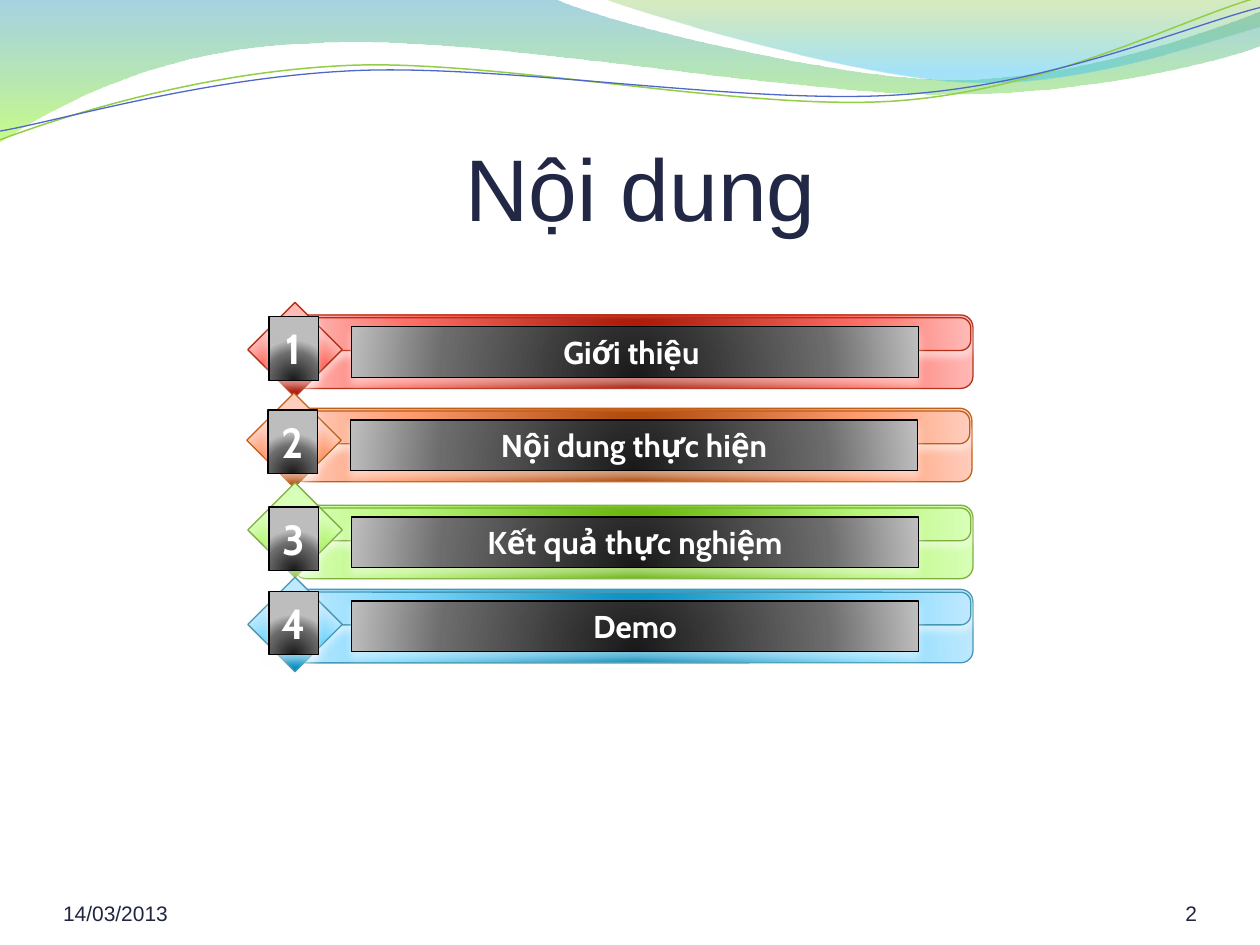
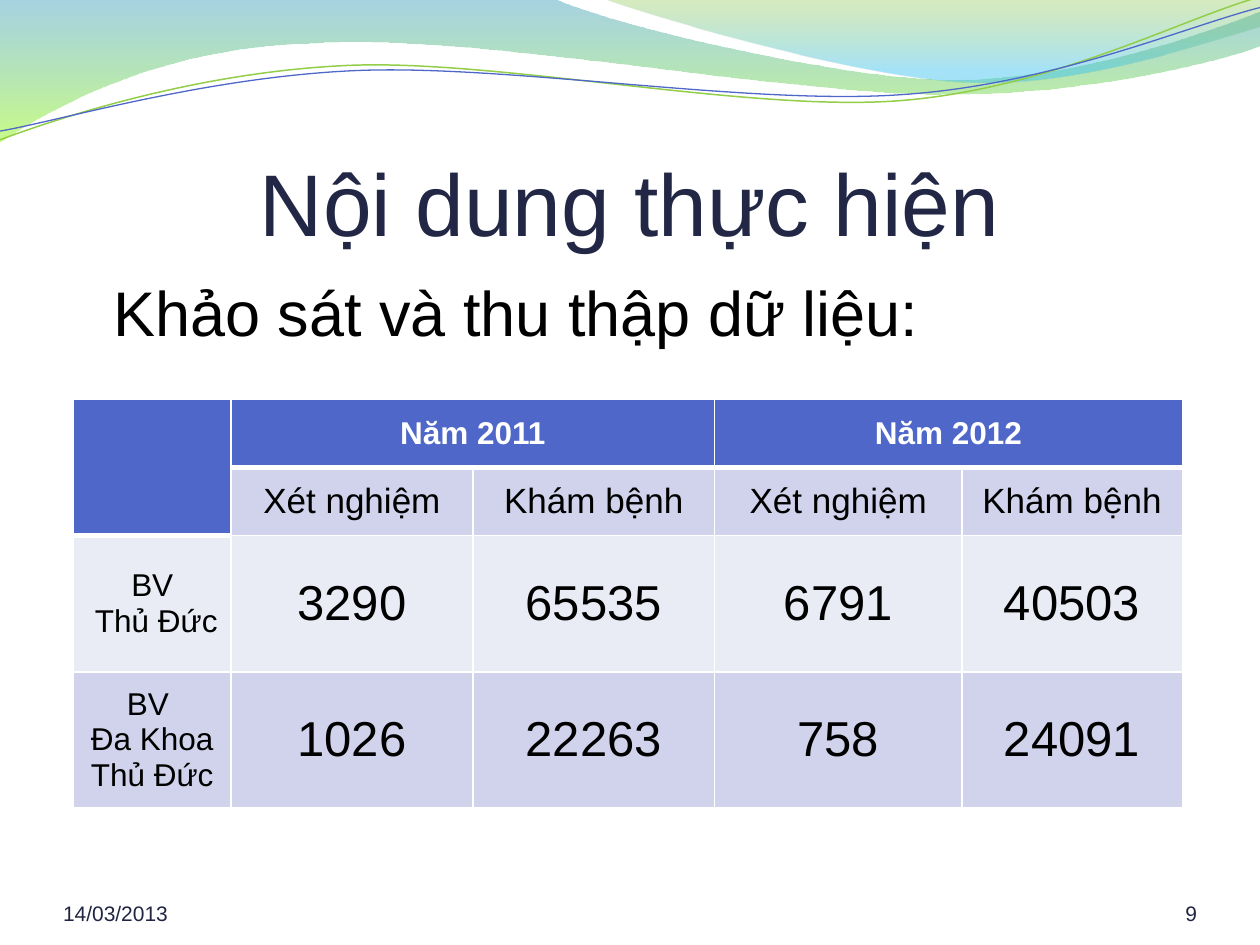
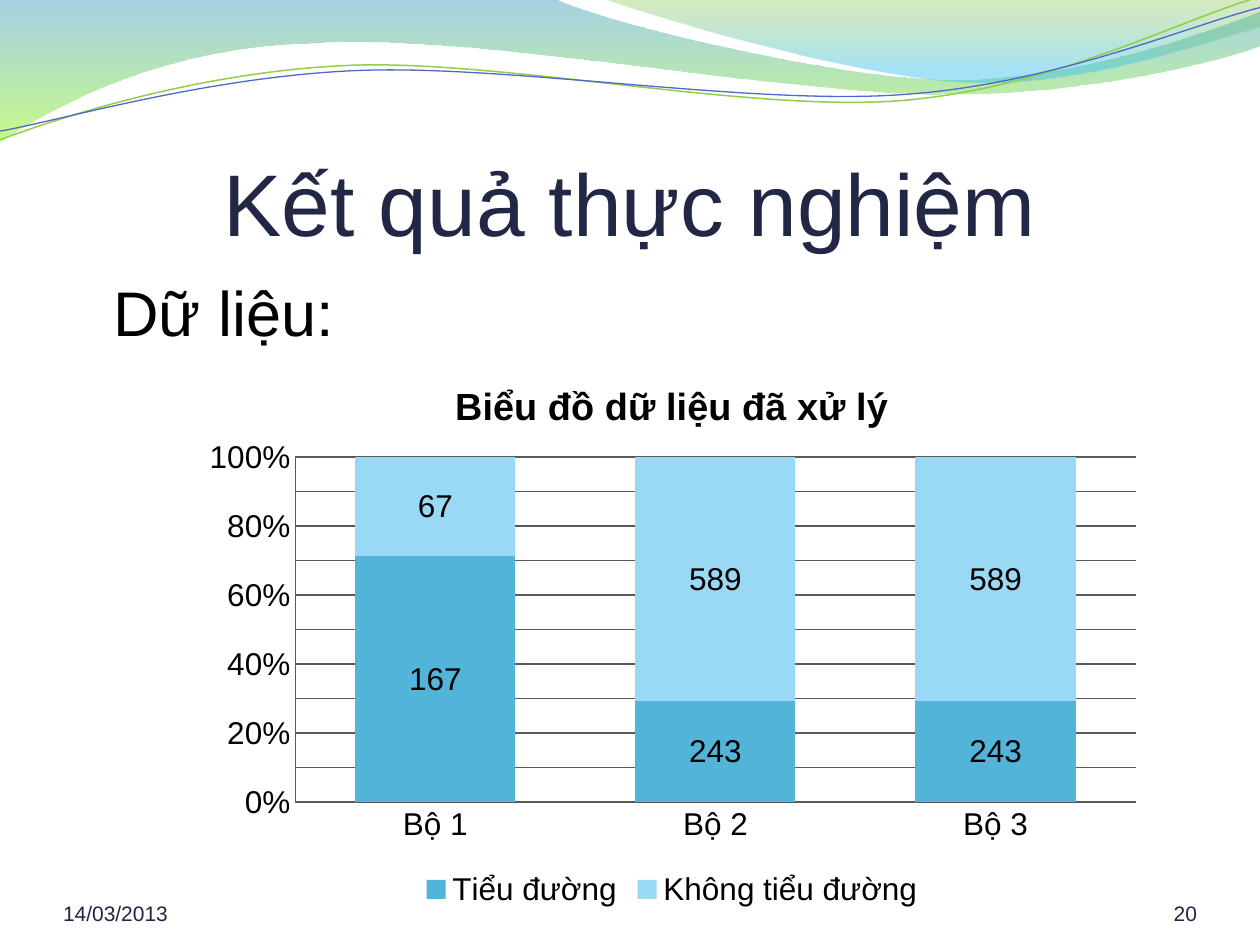
from pptx import Presentation
from pptx.chart.data import CategoryChartData
from pptx.dml.color import RGBColor
from pptx.enum.chart import XL_CHART_TYPE, XL_LEGEND_POSITION, XL_TICK_MARK
from pptx.enum.shapes import MSO_SHAPE
from pptx.enum.text import MSO_ANCHOR, MSO_AUTO_SIZE, PP_ALIGN
from pptx.oxml import parse_xml
from pptx.oxml.ns import nsdecls, qn
from pptx.util import Pt

LEFT, MID, RIGHT = PP_ALIGN.LEFT, PP_ALIGN.CENTER, PP_ALIGN.RIGHT
TOP, CENTER, BOTTOM = MSO_ANCHOR.TOP, MSO_ANCHOR.MIDDLE, MSO_ANCHOR.BOTTOM
FIT, FIXED = MSO_AUTO_SIZE.SHAPE_TO_FIT_TEXT, MSO_AUTO_SIZE.NONE
RECT, ROUND, DIAMOND = MSO_SHAPE.RECTANGLE, MSO_SHAPE.ROUNDED_RECTANGLE, MSO_SHAPE.DIAMOND
STACK = XL_CHART_TYPE.COLUMN_STACKED_100
UNDER, NO_TICK = XL_LEGEND_POSITION.BOTTOM, XL_TICK_MARK.NONE

COLORS = {
    "title": "212745", "foot": "202542", "black": "000000", "white": "FFFFFF",
    "blue": "4E67C8", "green": "93CE48", "band": "D0D3EB", "pale": "E9EBF5",
    "deep": "52B4D9", "sky": "9AD9F6", "grid": "595959",
}
# Glossy themes: gradient from the centre outwards, outline
GLOSS = {
    "red": (("A31200", "FD7066", "FFBAB7"), "B52E18"),
    "orange": (("A94200", "FF9B6F", "FFCDBD"), "BF5E16"),
    "lime": (("61B200", "B7F577", "D8FFB8"), "7CAF3B"),
    "aqua": (("008ABC", "7DD8FD", "BFE9FF"), "4498B5"),
    "gray": (("191919", "6C6C6C", "BDBDBD"), "000000"),
}
# Waves: start point, then corners (x, y) or curves (two handles and an end)
WAVES = [
    ((0, 0), [(316.8, -0.7),
              (342.7, 12.2, 478.1, 45.4, 545.8, 45.4),
              (614.2, 45.4, 689.8, 18.7, 720, 6.5), (720.7, 25.9),
              (707.8, 31.7, 626.4, 54.7, 537.1, 54),
              (447.8, 54, 275, 20.2, 185, 24.5),
              (92.9, 25.9, 33.1, 59.8, -0.7, 81.4)],
     [(0, "3B9CBF", 45), (100, "9CFA24", 55)]),
    ((344.9, -0.7), [(366.5, 7.9, 491, 44.6, 553.7, 46.8),
                     (616.3, 49.7, 691.9, 23, 720, 15.1), (720, 0)],
     [(0, "7EBE2C", 30), (80, "39C1F1", 45)]),
]
CURVES = [
    ((0, 79.9), [(34.6, 67, 113.8, 41, 199.4, 37.4),
                 (284.4, 33.8, 427, 64.1, 513.4, 57.6),
                 (599.8, 51.1, 675.4, 10.8, 718.6, -1.4)], "green", 0.85),
    ((0, 74.9), [(33.8, 69.1, 118.1, 43.9, 203.8, 40.3),
                 (290.2, 36.7, 429.8, 60.5, 516.2, 54),
                 (601.9, 48.2, 677.5, 15.1, 720, 4.3)], "blue", 0.75),
]
# Agenda: text, theme, left, top of the diamond, top of the bar
ITEMS = [
    ("Giới thiệu ", "red", 141.6, 172.8, 180),
    ("Nội dung thực hiện", "orange", 141, 224.6, 233.3),
    ("Kết quả thực nghiệm", "lime", 141.6, 275.8, 288.7),
    ("Demo", "aqua", 141.6, 329.8, 336.8),
]
TITLE_BOX, BODY_BOX = (36, 55.4, 648, 90), (36, 152.6, 648, 345.6)


def rgb(name):
    return RGBColor.from_string(COLORS[name])


def pts(*box):
    return [Pt(v) for v in box]


def write(frame, text, size=18, color="black", font="Arial", bold=False,
          align=LEFT, anchor=TOP, inset=None):
    """Fill a text frame or cell, one paragraph per line."""
    frame.text = text
    frame.vertical_anchor = anchor
    if inset:
        (frame.margin_left, frame.margin_top,
         frame.margin_right, frame.margin_bottom) = pts(*inset)
    paras = getattr(frame, "text_frame", frame).paragraphs
    for para in paras:
        para.alignment = align
        for run in para.runs:
            style(run.font, size, color, bold, font)


def style(font, size, color="black", bold=False, name="Arial"):
    font.name, font.size, font.bold = name, Pt(size), bold
    font.color.rgb = rgb(color)


def shade(shape, stops, tail):
    """Give a shape a gradient of (position, hex, opacity) stops."""
    shape.fill.background()
    marks = "".join(
        f'<a:gs pos="{pos * 1000}"><a:srgbClr val="{tint}">'
        f'<a:alpha val="{alpha * 1000}"/></a:srgbClr></a:gs>'
        for pos, tint, alpha in stops)
    grad = parse_xml(f'<a:gradFill {nsdecls("a")} rotWithShape="1">'
                     f'<a:gsLst>{marks}</a:gsLst>{tail}</a:gradFill>')
    props = shape.element.spPr
    props.replace(props.find(qn("a:noFill")), grad)


def gloss(slide, kind, box, theme, round_by=None):
    """Add a shape with a radial gradient, an outline and a soft light shadow."""
    tints, edge = GLOSS[theme]
    shape = slide.shapes.add_shape(kind, *pts(*box))
    if round_by:
        shape.adjustments[0] = round_by
    shade(shape, [(pos, tint, 100) for pos, tint in zip((0, 68, 100), tints)],
          '<a:path path="circle"><a:fillToRect l="50000" t="130000" '
          'r="50000" b="-30000"/></a:path>')
    shape.line.color.rgb = RGBColor.from_string(edge)
    shape.line.width = Pt(0.75)
    shape.shadow.inherit = False
    shape.element.spPr.find(qn("a:effectLst")).append(parse_xml(
        f'<a:outerShdw {nsdecls("a")} blurRad="{Pt(4.5)}" dist="{Pt(3)}" '
        f'dir="5400000" rotWithShape="0"><a:srgbClr val="{COLORS["white"]}">'
        '<a:alpha val="48000"/></a:srgbClr></a:outerShdw>'))
    return shape


def outline(slide, start, steps, close):
    """Build a freeform, in hundredths of a point, with true curves."""
    points = [(round(x * 100), round(y * 100))
              for step in [start, *steps] for x, y in zip(step[::2], step[1::2])]
    pen = slide.shapes.build_freeform(*points[0], scale=Pt(1) / 100)
    pen.add_line_segments(points[1:], close=close)
    shape = pen.convert_to_shape()
    shape.shadow.inherit = False
    # Join each curve's two handles and end into one segment
    lines = iter(list(shape.element.spPr.iter(qn("a:lnTo"))))
    for step in steps:
        parts = [next(lines) for _ in step[::2]]
        if len(parts) == 3:
            bend = parse_xml(f'<a:cubicBezTo {nsdecls("a")}/>')
            parts[0].addprevious(bend)
            for part in parts:
                bend.append(part[0])
                part.getparent().remove(part)
    return shape


def header(deck, slide):
    """Draw the waves and hand them to the master."""
    shapes = []
    for start, steps, stops in WAVES:
        wave = outline(slide, start, steps, True)
        shade(wave, stops, '<a:lin ang="5400000" scaled="0"/>')
        wave.line.fill.background()
        shapes.append(wave)
    for start, steps, color, width in CURVES:
        curve = outline(slide, start, steps, False)
        curve.fill.background()
        curve.line.color.rgb, curve.line.width = rgb(color), Pt(width)
        shapes.append(curve)
    tree = deck.slide_master.shapes.element
    for place, shape in enumerate(shapes, 2):
        tree.insert(place, shape.element)


def move(shape, box):
    shape.left, shape.top, shape.width, shape.height = pts(*box)


def page(deck, layout, title, number, box=TITLE_BOX, anchor=BOTTOM):
    """Add a slide with its title, date and number."""
    slide = deck.slides.add_slide(deck.slide_layouts[layout])
    head = slide.shapes.title
    move(head, box)
    write(head.text_frame, title, size=50, color="title", align=MID,
          anchor=anchor, inset=(0, 3.6, 0, 0))
    head.text_frame.auto_size = FIXED
    for text, left, width, align in (("14/03/2013", 36, 168, LEFT),
                                     (number, 624, 60, RIGHT)):
        foot = slide.shapes.add_textbox(*pts(left, 500.4, width, 28.8)).text_frame
        foot.word_wrap = True
        write(foot, text, size=12, color="foot", align=align,
              anchor=BOTTOM, inset=(0, 0, 0, 0))
    return slide


def lead(slide, text):
    """Write the opening line into the body placeholder."""
    body = slide.placeholders[1]
    move(body, BODY_BOX)
    write(body.text_frame, text, size=36)
    body.text_frame.auto_size = FIXED
    para = body.text_frame.paragraphs[0]
    para.space_before = Pt(6.6)
    props = para._p.get_or_add_pPr()
    props.set("marL", str(Pt(21.6)))
    props.set("indent", "0")
    props.append(parse_xml(f'<a:buNone {nsdecls("a")}/>'))


def entry(slide, number, text, theme, left, top, bar):
    """Draw one agenda row from its left edge."""
    gloss(slide, ROUND, (left + 26.4, bar, 388, 42), theme, 0.167)
    gloss(slide, ROUND, (left + 29.5, bar + 1.6, 383.6, 18.7), theme, 0.315)
    label = gloss(slide, RECT, (left + 59.3, bar + 6.7, 324, 29), "gray")
    gloss(slide, DIAMOND, (left, top, 54, 54), theme)
    badge = gloss(slide, RECT, (left + 12.1, bar + 1, 28.2, 36.3), "gray")
    for shape, words, size in ((label, text, 18), (badge, str(number), 24)):
        frame = shape.text_frame
        write(frame, words, size=size, color="white", font="Cabin",
              bold=True, align=MID)
        frame.word_wrap = shape is label
        frame.auto_size = FIT


def paint(cell, fill, base):
    """Fill a cell and rule it in white, with a bottom line of the given width."""
    cell.fill.solid()
    cell.fill.fore_color.rgb = rgb(fill)
    props = cell._tc.get_or_add_tcPr()
    for place, (side, width) in enumerate((("L", 1), ("R", 1), ("T", 1), ("B", base))):
        props.insert(place, parse_xml(
            f'<a:ln{side} {nsdecls("a")} w="{Pt(width)}"><a:solidFill>'
            f'<a:srgbClr val="{COLORS["white"]}"/></a:solidFill></a:ln{side}>'))


def survey(slide, left, top):
    """Place the table of hospital records."""
    kinds = ["Xét nghiệm", "Khám bệnh"]
    rows = [
        ["", "Năm 2011", "", "Năm 2012", ""],
        [""] + kinds * 2,
        ["BV\n Thủ Đức", "3290", "65535", "6791", "40503"],
        ["BV \nĐa Khoa Thủ Đức", "1026", "22263", "758", "24091"],
    ]
    widths, heights = (90, 138.2, 138.2, 141.2, 126), (38.9, 38.9, 77.9, 77.9)
    table = slide.shapes.add_table(
        4, 5, *pts(left, top, sum(widths), sum(heights))).table
    table.horz_banding = False
    for col, width in zip(table.columns, widths):
        col.width = Pt(width)
    for row, height in zip(table.rows, heights):
        row.height = Pt(height)
    for r, row in enumerate(rows):
        for c, text in enumerate(row):
            cell, head = table.cell(r, c), r == 0 or (r, c) == (1, 0)
            paint(cell, "blue" if head else "pale" if r == 2 else "band",
                  3 if head else 1)
            if text:
                size = 20 if r == 1 else 28 if r > 1 and c else 18
                write(cell, text, size=size, color="white" if head else "black",
                      bold=head, align=MID, anchor=CENTER)
    for first, last in (((0, 0), (1, 0)), ((0, 1), (0, 2)), ((0, 3), (0, 4))):
        table.cell(*first).merge(table.cell(*last))


def frame_plot(chart, **box):
    """Fix the inner plot area, in fractions of the chart."""
    area = chart.element.chart.plotArea
    for old in area.findall(qn("c:layout")):
        area.remove(old)
    sizes = "".join(f'<c:{key} val="{value}"/>' for key, value in box.items())
    area.insert(0, parse_xml(
        f'<c:layout {nsdecls("c")}><c:manualLayout><c:layoutTarget val="inner"/>'
        f'<c:xMode val="edge"/><c:yMode val="edge"/>{sizes}'
        '</c:manualLayout></c:layout>'))


def graph(slide, box):
    """Place the stacked chart of processed data."""
    data = CategoryChartData()
    data.categories = ["Bộ 1", "Bộ 2", "Bộ 3"]
    data.add_series("Tiểu đường", (167, 243, 243))
    data.add_series("Không tiểu đường", (67, 589, 589))
    chart = slide.shapes.add_chart(STACK, *pts(*box), data).chart
    style(chart.font, 18)
    chart.has_title = True
    write(chart.chart_title.text_frame, "Biểu đồ dữ liệu đã xử lý",
          size=21.6, bold=True, align=MID)
    chart.has_legend = True
    chart.legend.position, chart.legend.include_in_layout = UNDER, False
    frame_plot(chart, x=0.11, y=0.18, w=0.87, h=0.62)
    # Axes
    for axis in (chart.category_axis, chart.value_axis):
        axis.major_tick_mark = axis.minor_tick_mark = NO_TICK
        axis.format.line.color.rgb = rgb("grid")
    scale = chart.value_axis
    scale.major_unit = 0.1
    scale.has_major_gridlines = True
    scale.major_gridlines.format.line.color.rgb = rgb("grid")
    scale.tick_labels.number_format = "0%"
    scale.tick_labels.number_format_is_linked = False
    # Columns
    plot = chart.plots[0]
    plot.gap_width, plot.overlap, plot.vary_by_categories = 75, 100, False
    plot.has_data_labels = True
    plot.data_labels.show_value = True
    for series, color in zip(plot.series, ("deep", "sky")):
        series.format.fill.solid()
        series.format.fill.fore_color.rgb = rgb(color)


def main():
    deck = Presentation()
    deck.slide_width, deck.slide_height = pts(720, 540)

    agenda = page(deck, 5, "Nội dung", "2", (42, 59.8, 648, 90), CENTER)
    header(deck, agenda)
    for number, item in enumerate(ITEMS, 1):
        entry(agenda, number, *item)

    work = page(deck, 1, "Nội dung thực hiện", "9")
    lead(work, "Khảo sát và thu thập dữ liệu:")
    survey(work, 42, 228.2)

    result = page(deck, 1, "Kết quả thực nghiệm", "20")
    lead(result, "Dữ liệu:")
    graph(result, (108, 204, 552, 318))

    deck.save("out.pptx")


if __name__ == "__main__":
    main()
